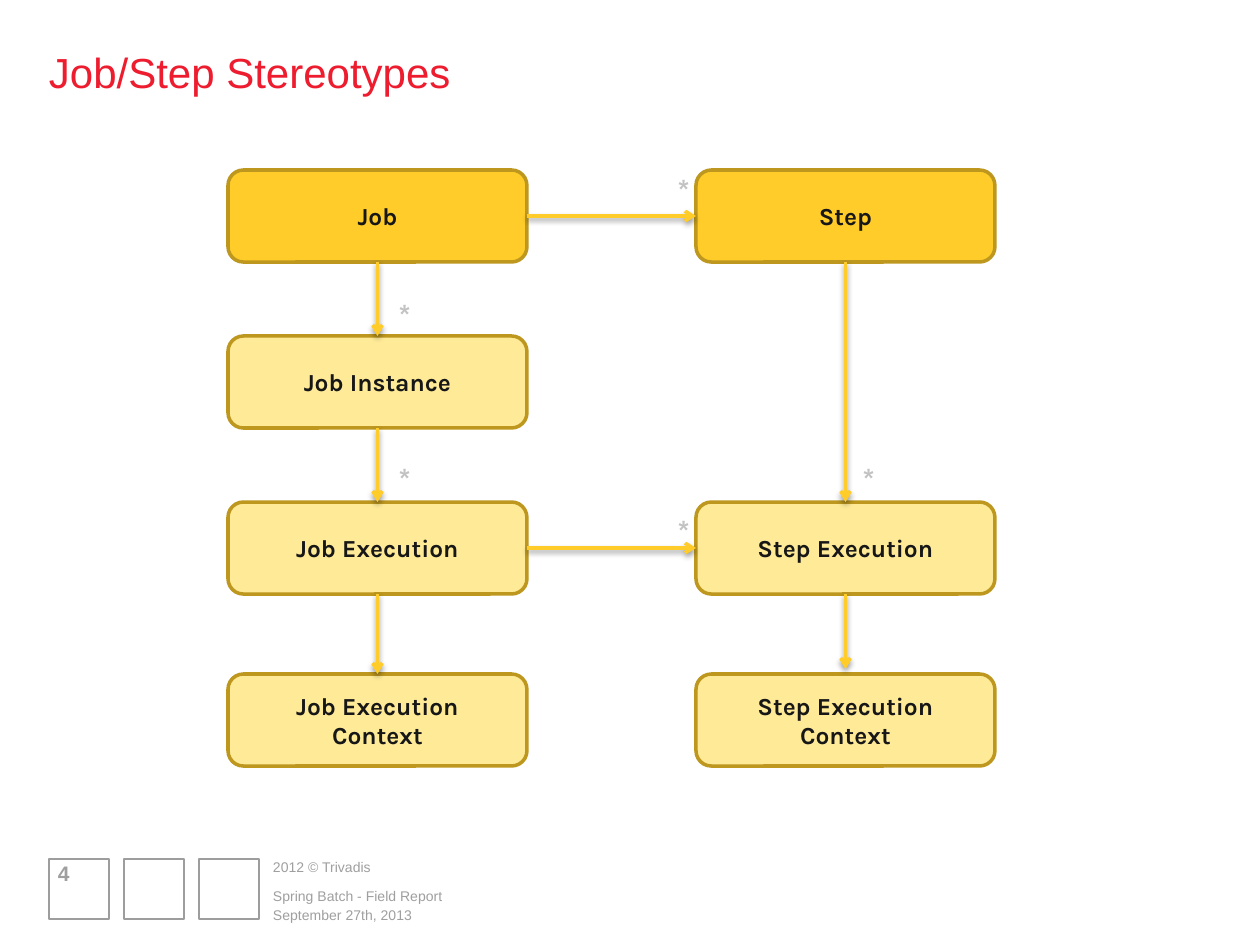
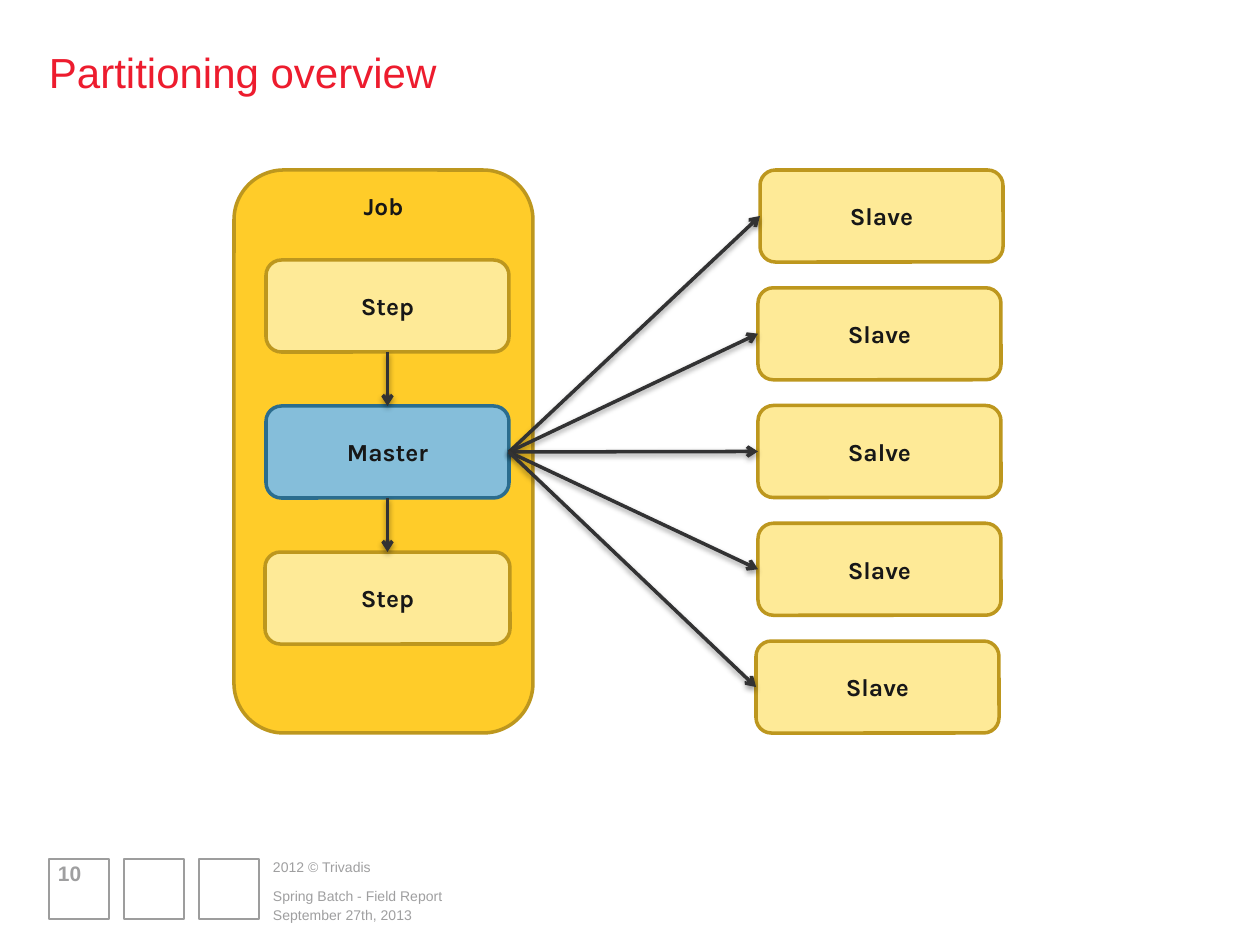
from dataclasses import dataclass

from lxml.etree import SubElement
from pptx import Presentation
from pptx.dml.color import RGBColor
from pptx.enum.shapes import MSO_CONNECTOR, MSO_SHAPE
from pptx.enum.text import MSO_ANCHOR, PP_ALIGN
from pptx.oxml.ns import qn
from pptx.util import Emu, Pt

PX_PER_INCH = 126
TOP, LEFT, BOTTOM, RIGHT = range(4)


@dataclass(frozen=True)
class Theme:
    text_font: str = "Arial"
    node_font: str = "Karla"
    title: str = "ED1C2E"
    footer: str = "9F9FA0"
    frame: str = "9D9D9D"
    node_text: str = "171717"
    star: str = "C2C2C2"
    yellow_arrow: str = "FFCC29"
    dark_arrow: str = "323233"
    title_size: int = 24
    star_size: int = 18
    node_size: int = 14
    number_size: int = 12
    footer_size: int = 8
    line_width: int = 2
    frame_width: float = 0.75


THEME = Theme()
# style: (fill, outline)
STYLES = {
    "strong": ("FFCC29", "BD971E"),
    "light": ("FEEA97", "BD971E"),
    "master": ("85BEDA", "2B6D8E"),
}

# Content: footer lines as (text, top, height, anchor)
FOOTER_LINES = [
    ("2012 © Trivadis", 857, 19, MSO_ANCHOR.MIDDLE),
    ("Spring Batch - Field Report", 881, 23, MSO_ANCHOR.BOTTOM),
    ("September 27th, 2013", 900, 23, MSO_ANCHOR.BOTTOM),
]

# Stereotypes: key -> (text, column, row, style)
STEREOTYPES = {
    "job": ("Job", 0, 0, "strong"),
    "instance": ("Job Instance", 0, 1, "light"),
    "job run": ("Job Execution", 0, 2, "light"),
    "job context": ("Job Execution\nContext", 0, 3, "light"),
    "step": ("Step", 1, 0, "strong"),
    "step run": ("Step Execution", 1, 2, "light"),
    "step context": ("Step Execution\nContext", 1, 3, "light"),
}
DOWNWARD = [("job", "instance"), ("instance", "job run"), ("job run", "job context"),
            ("step", "step run")]
ACROSS = [("job", "step"), ("job run", "step run")]
SHORT_ARROW = ("step run", "step context")
SHORT_ARROW_GAP = 5
STARS = [(667, 171), (852, 460), (667, 512), (388, 460), (388, 296)]
COLUMN_LEFTS = [228, 696]
ROW_TOPS = [170, 336, 502, 674]

# Partitioning: job steps as (text, left, width, style), slaves as (text, left)
JOB_STEPS = [
    ("Step", 266, 243, "light"),
    ("Master", 266, 243, "master"),
    ("Step", 265, 245, "light"),
]
SLAVES = [("Slave", 760), ("Slave", 758), ("Salve", 758), ("Slave", 758), ("Slave", 756)]

NODE_TOP, NODE_WIDTH, NODE_HEIGHT, SLAVE_WIDTH = 170, 299, 92, 243
STEP_TOP, STEP_PITCH = 260, 146
LAST_SLAVE_TOP = 641


def px(length):
    return Emu(round(length * 914400 / PX_PER_INCH))


def box_of(*lengths):
    return [px(length) for length in lengths]


def style_text(frame, font, size, color, bold=False, align=PP_ALIGN.LEFT):
    for paragraph in frame.paragraphs:
        paragraph.alignment = align
        for run in paragraph.runs:
            run.font.name = font
            run.font.size = Pt(size)
            run.font.bold = bold
            run.font.color.rgb = RGBColor.from_string(color)


def add_text(slide, text, box, font, size, color, anchor=MSO_ANCHOR.TOP, **style):
    frame = slide.shapes.add_textbox(*box_of(*box)).text_frame
    frame.margin_left = frame.margin_right = frame.margin_top = frame.margin_bottom = 0
    frame.word_wrap = True
    frame.vertical_anchor = anchor
    frame.text = text
    style_text(frame, font, size, color, **style)


def add_node(slide, text, box, style, anchor=MSO_ANCHOR.MIDDLE):
    fill, outline = STYLES[style]
    node = slide.shapes.add_shape(MSO_SHAPE.ROUNDED_RECTANGLE, *box_of(*box))
    node.shadow.inherit = False
    node.fill.solid()
    node.fill.fore_color.rgb = RGBColor.from_string(fill)
    node.line.color.rgb = RGBColor.from_string(outline)
    node.line.width = Pt(THEME.line_width)
    node.text_frame.vertical_anchor = anchor
    node.text_frame.text = text
    style_text(node.text_frame, THEME.node_font, THEME.node_size, THEME.node_text,
               bold=True, align=PP_ALIGN.CENTER)
    return node


def add_arrow(slide, source, source_side, target, target_side, color, gap=0):
    """Join two nodes; a gap leaves a downward arrow short of its target."""
    arrow = slide.shapes.add_connector(MSO_CONNECTOR.STRAIGHT, 0, 0, 0, 0)
    arrow.begin_connect(source, source_side)
    if gap:
        arrow.end_x = target.left + target.width // 2
        arrow.end_y = target.top - px(gap)
    else:
        arrow.end_connect(target, target_side)
    arrow.line.color.rgb = RGBColor.from_string(color)
    arrow.line.width = Pt(THEME.line_width)
    SubElement(arrow.line._get_or_add_ln(), qn("a:tailEnd"), type="arrow")
    effects = SubElement(arrow._element.spPr, qn("a:effectLst"))
    shadow = SubElement(effects, qn("a:outerShdw"), blurRad="40000", dist="20000",
                        dir="5400000", rotWithShape="0")
    shadow_color = SubElement(shadow, qn("a:srgbClr"), val="000000")
    SubElement(shadow_color, qn("a:alpha"), val="38000")


def add_base_slide(deck, title, number):
    """Add a slide with the shared title, footer frames and footer text."""
    slide = deck.slides.add_slide(deck.slide_layouts[6])
    for index in range(3):
        frame = slide.shapes.add_shape(MSO_SHAPE.RECTANGLE,
                                       *box_of(49 + 75 * index, 859, 60, 60))
        frame.shadow.inherit = False
        frame.fill.background()
        frame.line.color.rgb = RGBColor.from_string(THEME.frame)
        frame.line.width = Pt(THEME.frame_width)
    add_text(slide, title, (49, 47, 1162, 50), THEME.text_font, THEME.title_size,
             THEME.title)
    for text, top, height, anchor in FOOTER_LINES:
        add_text(slide, text, (273, top, 675, height), THEME.text_font,
                 THEME.footer_size, THEME.footer, anchor)
    add_text(slide, str(number), (58, 862, 60, 22), THEME.text_font, THEME.number_size,
             THEME.footer, MSO_ANCHOR.MIDDLE, bold=True)
    return slide


def build_stereotypes(deck):
    slide = add_base_slide(deck, "Job/Step Stereotypes", 4)
    nodes = {
        key: add_node(slide, text,
                      (COLUMN_LEFTS[column], ROW_TOPS[row], NODE_WIDTH, NODE_HEIGHT), style)
        for key, (text, column, row, style) in STEREOTYPES.items()
    }
    for source, target in DOWNWARD:
        add_arrow(slide, nodes[source], BOTTOM, nodes[target], TOP, THEME.yellow_arrow)
    for source, target in ACROSS:
        add_arrow(slide, nodes[source], RIGHT, nodes[target], LEFT, THEME.yellow_arrow)
    source, target = SHORT_ARROW
    add_arrow(slide, nodes[source], BOTTOM, nodes[target], TOP, THEME.yellow_arrow,
              SHORT_ARROW_GAP)
    for left, top in STARS:
        add_text(slide, "*", (left, top, 33, 38), THEME.node_font, THEME.star_size,
                 THEME.star, bold=True, align=PP_ALIGN.CENTER)


def build_partitioning(deck):
    slide = add_base_slide(deck, "Partitioning overview", 10)
    add_node(slide, "Job", (234, NODE_TOP, NODE_WIDTH, 563), "strong", MSO_ANCHOR.TOP)
    steps = [
        add_node(slide, text, (left, STEP_TOP + STEP_PITCH * index, width, NODE_HEIGHT), style)
        for index, (text, left, width, style) in enumerate(JOB_STEPS)
    ]
    slave_pitch = (LAST_SLAVE_TOP - NODE_TOP) / (len(SLAVES) - 1)
    slaves = [
        add_node(slide, text,
                 (left, NODE_TOP + slave_pitch * index, SLAVE_WIDTH, NODE_HEIGHT), "light")
        for index, (text, left) in enumerate(SLAVES)
    ]
    for source, target in zip(steps, steps[1:]):
        add_arrow(slide, source, BOTTOM, target, TOP, THEME.dark_arrow)
    master = steps[1]
    for slave in slaves:
        add_arrow(slide, master, RIGHT, slave, LEFT, THEME.dark_arrow)


def main():
    deck = Presentation()
    deck.slide_width, deck.slide_height = box_of(1260, 945)
    build_stereotypes(deck)
    build_partitioning(deck)
    deck.save("out.pptx")


if __name__ == "__main__":
    main()
